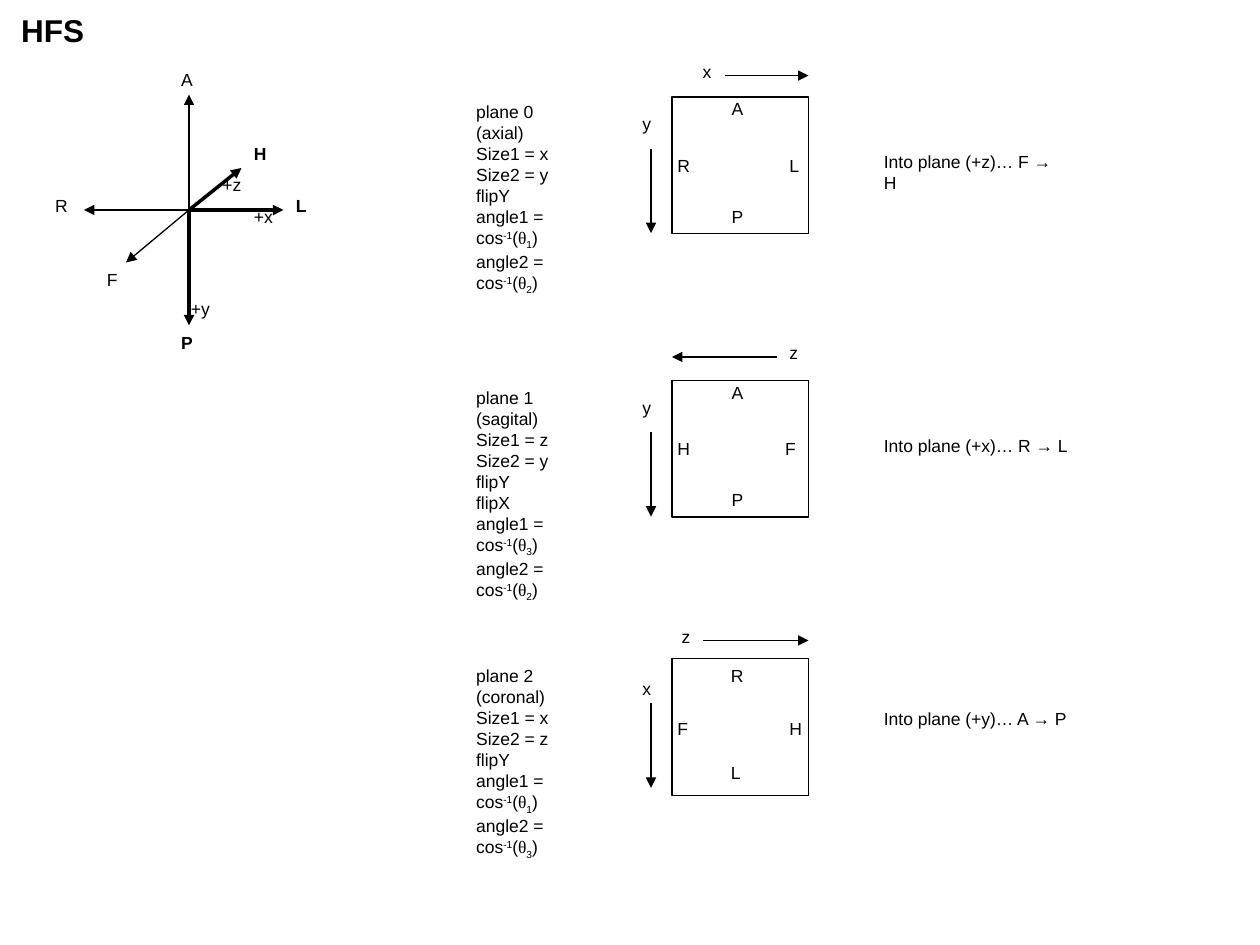
from lxml.etree import SubElement
from pptx import Presentation
from pptx.dml.color import RGBColor
from pptx.enum.shapes import MSO_CONNECTOR as Connector, MSO_SHAPE as Shape
from pptx.enum.text import MSO_AUTO_SIZE as AutoSize
from pptx.oxml.ns import qn
from pptx.util import Pt

BLACK = RGBColor(0x00, 0x00, 0x00)
WHITE = RGBColor(0xFF, 0xFF, 0xFF)
FONT, GREEK_FONT = "Arial", "Times New Roman"
THIN, THICK = 0.75, 2
LINE_HEIGHT = 19.5
GLYPHS = {"A": 6.7, "P": 6.7, "R": 7.2, "H": 7.2, "F": 6.1, "L": 5.6,
          "x": 5, "y": 5, "z": 5, "+": 5.8}

ORIGIN = (108, 120)
AXES = [
    ("P", (108, 186), (96.5, 186), True),
    ("A", (108, 54), (96.5, 36), False),
    ("R", (48, 120), (24.5, 108), False),
    ("L", (162, 120), (162, 108), True),
    ("F", (72, 150), (54, 150), False),
    ("H", (138, 96), (138, 78), True),
]
DIRECTIONS = [("+x", 138, 114), ("+z", 120, 96), ("+y", 102, 167)]

BOX_LEFT, BOX_SIZE = 384, 78
NOTES_LEFT, NOTES_WIDTH = 265, 90.5
DOWN_LEFT, DOWN_LENGTH = 372, 48.25
CAPTION_LEFT, CAPTION_WIDTH = 498, 119.3

PLANES = [
    {"top": 55.5, "notes_top": 54, "notes_height": 95,
     "notes": ["plane 0", "(axial)", "Size1 = x", "Size2 = y", "flipY"],
     "thetas": "12",
     "across": ("x", 394.5, 414, 462, 43.2),
     "down": ("y", 5.7, 29.5),
     "letters": [("A", 411, -3), ("R", 380, 29.5), ("P", 411, 58.5), ("L", 444, 29.5)],
     "caption": ("Into plane (+z)… F → H", 27.3)},
    {"top": 217.5, "notes_top": 217.5, "notes_height": 106.5,
     "notes": ["plane 1", "(sagital)", "Size1 = z", "Size2 = y", "flipY", "flipX"],
     "thetas": "32",
     "across": ("z", 444, 444, 384, 204),
     "down": ("y", 5.7, 29.5),
     "letters": [("A", 411, -3), ("H", 380, 29.5), ("P", 411, 58.5), ("F", 441.5, 29.5)],
     "caption": ("Into plane (+x)… R → L", 27.3)},
    {"top": 376.5, "notes_top": 376.5, "notes_height": 95,
     "notes": ["plane 2", "(coronal)", "Size1 = x", "Size2 = z", "flipY"],
     "thetas": "13",
     "across": ("z", 382.5, 402, 462, 366),
     "down": ("x", 7.5, 25.5),
     "letters": [("R", 410.5, 0), ("F", 380, 30.3), ("L", 410.5, 55.5), ("H", 444, 30.3)],
     "caption": ("Into plane (+y)… A → P", 24.5)},
]


def angle_spans(number, theta):
    return [(f"angle{number} = cos", FONT, 0), ("-1", FONT, 30), ("(", FONT, 0),
            ("θ", GREEK_FONT, 0), (theta, FONT, -25), (")", FONT, 0)]


def add_text(page, left, top, width, height, lines, size=10, bold=False):
    box = page.shapes.add_textbox(Pt(left), Pt(top), Pt(width), Pt(height))
    frame = box.text_frame
    frame.word_wrap = False
    frame.auto_size = AutoSize.SHAPE_TO_FIT_TEXT
    for index, spans in enumerate(lines):
        para = frame.add_paragraph() if index else frame.paragraphs[0]
        para.font.size = Pt(size)
        para.font.bold = bold
        para.font.color.rgb = BLACK
        para.font.name = FONT
        for text, font, baseline in spans:
            span = para.add_run()
            span.text = text
            if font != FONT:
                span.font.name = font
            if baseline:
                span._r.get_or_add_rPr().set("baseline", str(baseline * 1000))


def add_label(page, text, left, top, width=None, size=10, bold=False, height=LINE_HEIGHT):
    width = width or 14.4 + sum(GLYPHS[letter] for letter in text)
    add_text(page, left, top, width, height, [[(text, FONT, 0)]], size, bold)


def add_arrow(page, start, end, weight=THIN):
    arrow = page.shapes.add_connector(Connector.STRAIGHT, *map(Pt, (*start, *end)))
    arrow.line.color.rgb = BLACK
    arrow.line.width = Pt(weight)
    SubElement(arrow.line._get_or_add_ln(), qn("a:tailEnd"), type="triangle")
    SubElement(arrow._element.spPr, qn("a:effectLst"))


def add_axes(page):
    for name, end, label_at, positive in AXES:
        add_arrow(page, ORIGIN, end, THICK if positive else THIN)
        add_label(page, name, *label_at, bold=positive)
    for name, left, top in DIRECTIONS:
        add_label(page, name, left, top)


def add_plane(page, plane):
    top = plane["top"]
    square = page.shapes.add_shape(Shape.RECTANGLE, Pt(BOX_LEFT), Pt(top),
                                   Pt(BOX_SIZE), Pt(BOX_SIZE))
    square.shadow.inherit = False
    square.fill.solid()
    square.fill.fore_color.rgb = WHITE
    square.line.color.rgb = BLACK
    square.line.width = Pt(THIN)

    lines = [[(note, FONT, 0)] for note in plane["notes"]]
    lines += [angle_spans(*pair) for pair in enumerate(plane["thetas"], 1)]
    add_text(page, NOTES_LEFT, plane["notes_top"], NOTES_WIDTH, plane["notes_height"], lines)

    name, label_left, start, end, level = plane["across"]
    add_arrow(page, (start, level), (end, level))
    add_label(page, name, label_left, level - 12)

    name, label_offset, offset = plane["down"]
    add_arrow(page, (DOWN_LEFT, top + offset), (DOWN_LEFT, top + offset + DOWN_LENGTH))
    add_label(page, name, DOWN_LEFT - 12, top + label_offset)

    for letter, left, offset in plane["letters"]:
        add_label(page, letter, left, top + offset)
    caption, offset = plane["caption"]
    add_label(page, caption, CAPTION_LEFT, top + offset, CAPTION_WIDTH)


def main():
    deck = Presentation()
    deck.slide_width, deck.slide_height = Pt(720), Pt(540)
    page = deck.slides.add_slide(deck.slide_layouts[6])
    add_label(page, "HFS", 5, 3, width=50.4, size=18, bold=True, height=29)
    add_axes(page)
    for plane in PLANES:
        add_plane(page, plane)
    deck.save("out.pptx")


if __name__ == "__main__":
    main()
